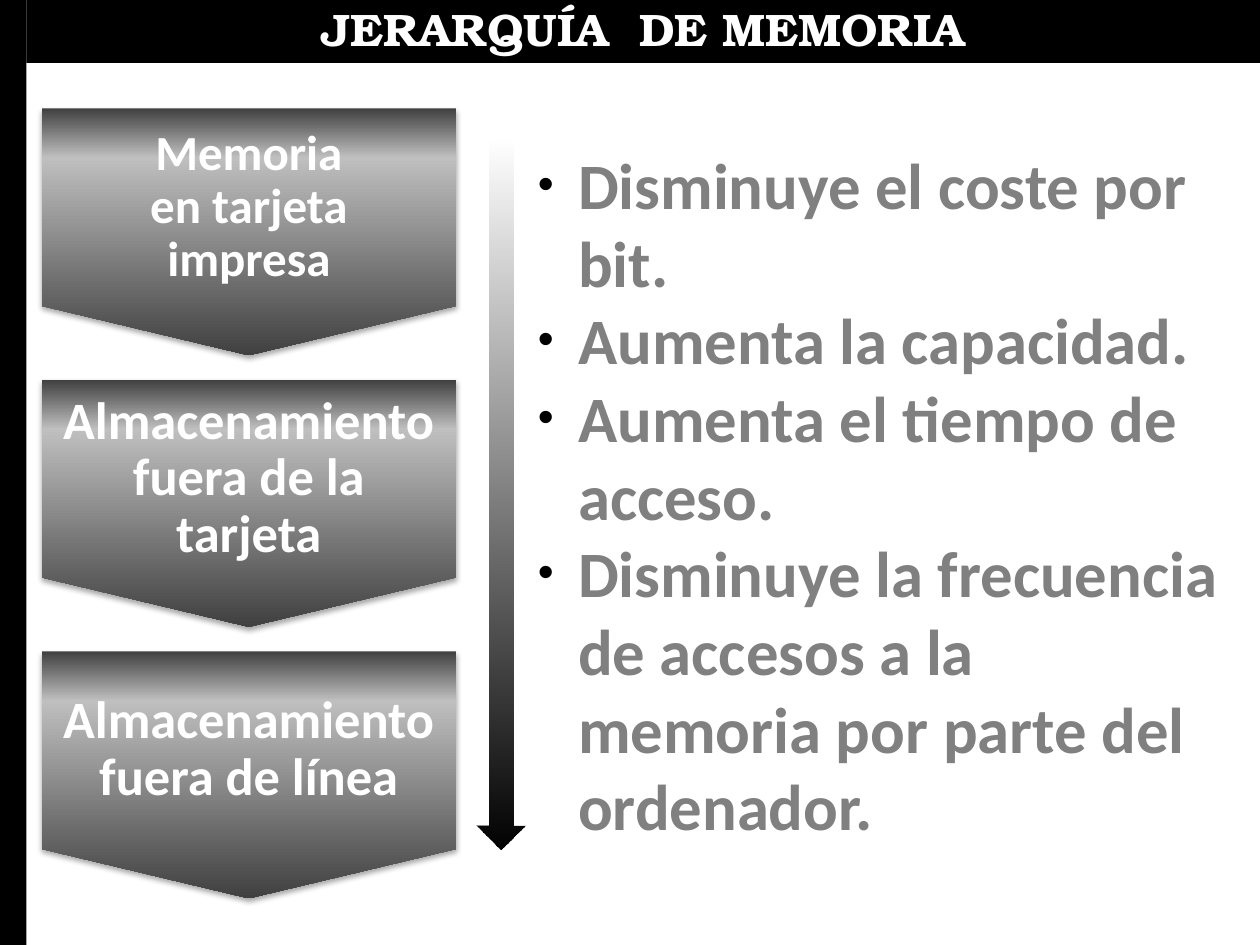
from dataclasses import dataclass

from lxml.etree import SubElement
from pptx import Presentation
from pptx.dml.color import RGBColor
from pptx.enum.shapes import MSO_SHAPE as Preset
from pptx.enum.text import MSO_ANCHOR as Anchor, PP_ALIGN as Align
from pptx.oxml.ns import qn
from pptx.util import Emu, Inches, Pt

BLACK, WHITE, GRAY, DARK, LIGHT = "000000", "FFFFFF", "808080", "404040", "BFBFBF"
BODY_FONT = "Calibri"


@dataclass
class Area:
    left: float
    top: float
    width: float
    height: float

    def lengths(self) -> list[Emu]:
        return [Inches(value) for value in (self.left, self.top, self.width, self.height)]


@dataclass
class TextStyle:
    size: float
    color: str
    font: str = BODY_FONT
    align: Align = Align.CENTER
    line_spacing: float | None = None


@dataclass
class Stop:
    position: int
    color: str
    opacity: int = 100


@dataclass
class Level:
    label: str
    size: float


LEVELS = [
    Level("Memoria\nen tarjeta\nimpresa", 28),
    Level("Almacenamiento fuera de la tarjeta", 30),
    Level("Almacenamiento fuera de línea", 30),
]
LEVEL_AREA = Area(0.33, 0.86, 3.29, 1.96)
LEVEL_PITCH = 2.155
LABEL_HEIGHT = 1.57
LEVEL_STOPS = [Stop(0, DARK), Stop(20, LIGHT), Stop(100, DARK)]
ARROW_STOPS = [Stop(0, BLACK, 0), Stop(100, BLACK)]
EFFECTS = [
    "Disminuye el coste por bit.",
    "Aumenta la capacidad.",
    "Aumenta el tiempo de acceso.",
    "Disminuye la frecuencia de accesos a la memoria por parte del ordenador.",
]


def rgb(value: str) -> RGBColor:
    return RGBColor.from_string(value)


def add_color(parent, color: str, opacity: int = 100) -> None:
    node = SubElement(parent, qn("a:srgbClr"), val=color)
    if opacity < 100:
        SubElement(node, qn("a:alpha"), val=str(opacity * 1000))


def add_figure(page, preset: Preset, area: Area):
    figure = page.shapes.add_shape(preset, *area.lengths())
    figure.shadow.inherit = False
    figure.line.fill.background()
    return figure


def add_band(page, area: Area) -> None:
    band = add_figure(page, Preset.RECTANGLE, area)
    band.fill.solid()
    band.fill.fore_color.rgb = rgb(BLACK)


def fill_downward(figure, stops: list[Stop]) -> None:
    figure.fill.gradient()
    gradient = figure._element.spPr.find(qn("a:gradFill"))
    for child in list(gradient):
        gradient.remove(child)
    stop_list = SubElement(gradient, qn("a:gsLst"))
    for stop in stops:
        node = SubElement(stop_list, qn("a:gs"), pos=str(stop.position * 1000))
        add_color(node, stop.color, stop.opacity)
    SubElement(gradient, qn("a:lin"), ang="5400000", scaled="0")


def add_shadow(figure) -> None:
    effects = figure._element.spPr.find(qn("a:effectLst"))
    shadow = SubElement(effects, qn("a:outerShdw"), blurRad=str(Pt(3.1)),
                        dist=str(Pt(1.8)), dir="5400000", rotWithShape="0")
    add_color(shadow, BLACK, 35)


def add_text(page, area: Area, text: str, style: TextStyle):
    box = page.shapes.add_textbox(*area.lengths())
    frame = box.text_frame
    frame.word_wrap = True
    frame.text = text
    for para in frame.paragraphs:
        para.alignment = style.align
        if style.line_spacing:
            para.line_spacing = style.line_spacing
        for span in para.runs:
            span.font.name = style.font
            span.font.size = Pt(style.size)
            span.font.bold = True
            span.font.color.rgb = rgb(style.color)
    return frame


def add_bullet(para) -> None:
    properties = para._p.get_or_add_pPr()
    properties.set("marL", str(Inches(0.32)))
    properties.set("indent", str(-Inches(0.32)))
    add_color(SubElement(properties, qn("a:buClr")), BLACK)
    SubElement(properties, qn("a:buSzPct"), val="70000")
    SubElement(properties, qn("a:buFont"), typeface="Arial")
    SubElement(properties, qn("a:buChar"), char="•")


def add_level(page, level: Level, area: Area) -> None:
    figure = add_figure(page, Preset.FLOWCHART_OFFPAGE_CONNECTOR, area)
    fill_downward(figure, LEVEL_STOPS)
    add_shadow(figure)
    label_area = Area(area.left, area.top, area.width, LABEL_HEIGHT)
    frame = add_text(page, label_area, level.label,
                     TextStyle(level.size, WHITE, line_spacing=0.9))
    frame.vertical_anchor = Anchor.MIDDLE
    frame.margin_left = frame.margin_right = Inches(0.12)
    frame.margin_top = frame.margin_bottom = Inches(0.06)


def main() -> None:
    deck = Presentation()
    deck.slide_width, deck.slide_height = Inches(10), Inches(7.5)
    page = deck.slides.add_slide(deck.slide_layouts[6])

    add_band(page, Area(0.21, 0, 9.79, 0.5))
    add_text(page, Area(0.21, -0.04, 9.79, 0.54), "JERARQUÍA  DE MEMORIA",
             TextStyle(26, WHITE, "TeX Gyre Bonum"))
    add_band(page, Area(0, 0, 0.21, 7.5))

    for index, level in enumerate(LEVELS):
        top = LEVEL_AREA.top + index * LEVEL_PITCH
        add_level(page, level, Area(LEVEL_AREA.left, top, LEVEL_AREA.width, LEVEL_AREA.height))

    effects = add_text(page, Area(4.17, 1.1, 5.68, 5.64), "\n".join(EFFECTS),
                       TextStyle(37, GRAY, align=Align.LEFT))
    for para in effects.paragraphs:
        add_bullet(para)

    arrow = add_figure(page, Preset.DOWN_ARROW, Area(3.78, 1.1, 0.39, 5.64))
    fill_downward(arrow, ARROW_STOPS)

    deck.save("out.pptx")


if __name__ == "__main__":
    main()
